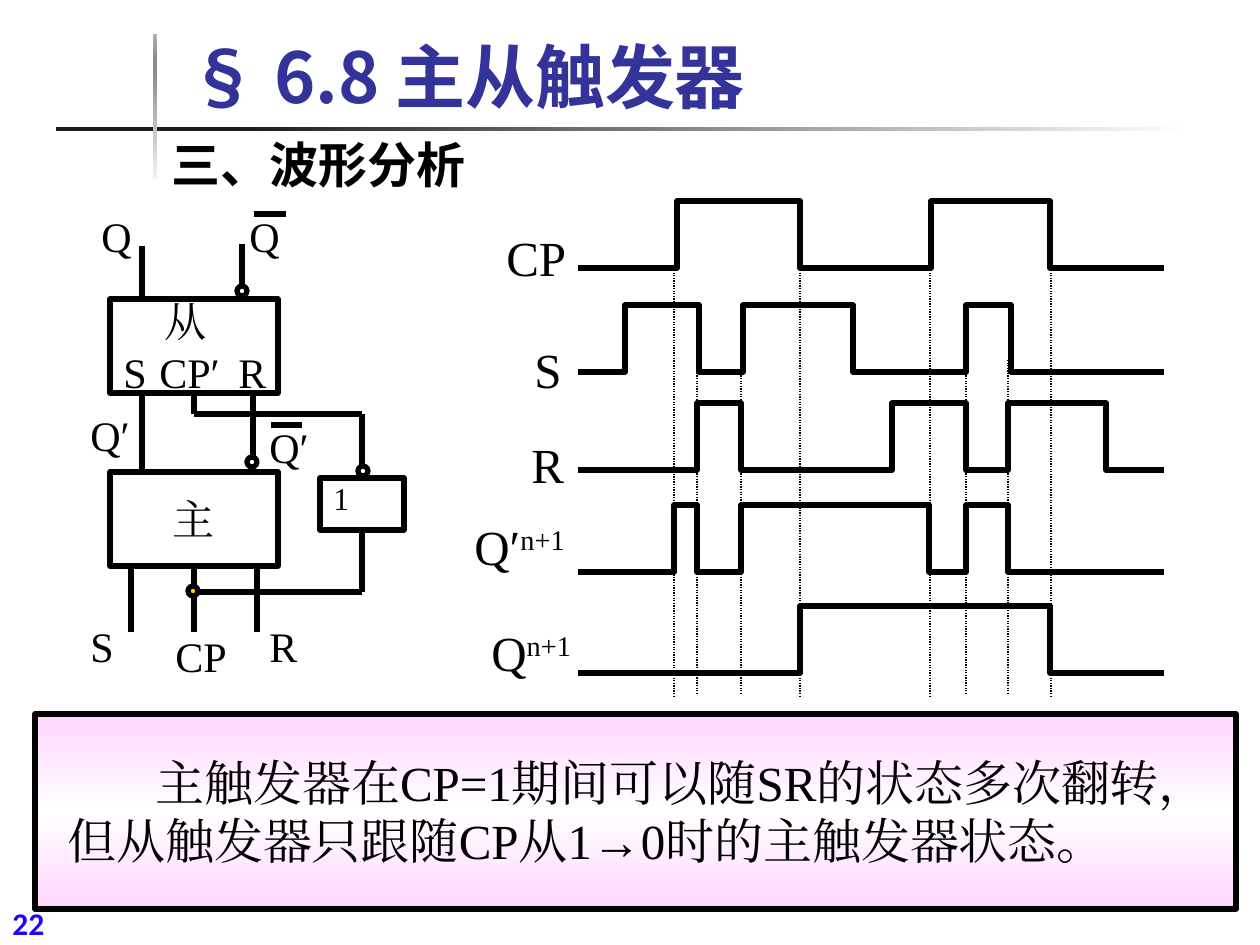
from lxml.etree import SubElement
from pptx import Presentation
from pptx.dml.color import RGBColor
from pptx.enum.dml import MSO_LINE
from pptx.enum.shapes import MSO_CONNECTOR, MSO_SHAPE
from pptx.enum.text import MSO_ANCHOR, PP_ALIGN
from pptx.oxml.ns import qn
from pptx.util import Pt

PX = 914400 / 126
BLACK = RGBColor(0x00, 0x00, 0x00)
WHITE = RGBColor(0xFF, 0xFF, 0xFF)
TITLE_BLUE = RGBColor(0x33, 0x33, 0x99)
NUMBER_BLUE = RGBColor(0x1F, 0x08, 0xF8)
GOLD = RGBColor(0xFF, 0xCF, 0x01)
PINK = RGBColor(0xFF, 0xD5, 0xFF)
INK = RGBColor(0x1C, 0x1C, 0x1C)
PALE_GREY = RGBColor(0xF2, 0xF2, 0xF2)
MID_GREY = RGBColor(0x8C, 0x8C, 0x8C)
LIGHT_GREY = RGBColor(0xB2, 0xB2, 0xB2)
SERIF, SANS, NUMBER = "Times New Roman", "Noto Sans CJK SC", "Calibri"

# Decorative bars: left, top, width, height, angle, stops
BARS = [
    (56, 127, 1134, 4, 0, [(16, INK), (100, WHITE)]),
    (153, 34, 4, 145, 90, [(0, PALE_GREY), (74, MID_GREY), (83, MID_GREY), (100, LIGHT_GREY)]),
]

# Headings: text, left, top, width, height, size, font, colour, anchor
HEADINGS = [
    ("22", 0, 898, 125, 47, 18, NUMBER, NUMBER_BLUE, MSO_ANCHOR.TOP),
    ("§ 6.8 主从触发器", 176, 43, 959, 81, 40, SANS, TITLE_BLUE, MSO_ANCHOR.BOTTOM),
    ("三、波形分析", 159, 128, 321, 72, 28, SANS, BLACK, MSO_ANCHOR.TOP),
]

# Waveforms: low level, then the x of every change of level
WAVE_START, WAVE_END, WAVE_HEIGHT = 578, 1164, 67
WAVES = [
    (268, [677, 800, 931, 1050]),
    (372, [625, 699, 743, 853, 966, 1011]),
    (470, [697, 741, 892, 966, 1008, 1106]),
    (572, [674, 697, 741, 929, 966, 1008]),
    (673, [800, 1050]),
]
# Dotted guides: top, bottom, x positions
GUIDES = [(270, 697, [674, 800, 930, 1051]), (360, 694, [697, 741, 966, 1008])]

# Labels: text, superscript, left, top, width, size
LABELS = [
    ("CP", "", 494, 221, 101, 28),
    ("S", "", 522, 333, 64, 28),
    ("R", "", 519, 428, 64, 28),
    ("Q′", "n+1", 462, 510, 178, 28),
    ("Q", "n+1", 479, 616, 131, 28),
    ("Q", "", 89, 204, 58, 24),
    ("Q", "", 237, 204, 58, 24),
    ("S", "", 111, 340, 50, 24),
    ("CP′", "", 147, 340, 101, 24),
    ("R", "", 226, 340, 56, 24),
    ("从", "", 152, 289, 70, 24),
    ("Q′", "", 78, 403, 72, 24),
    ("Q′", "", 257, 415, 72, 24),
    ("S", "", 78, 614, 50, 24),
    ("CP", "", 163, 624, 90, 24),
    ("R", "", 257, 614, 56, 24),
    ("1", "", 321, 473, 50, 18),
]

# Circuit: blocks by name, wires with the block whose bottom they start from
BLOCKS = {
    "slave": (110, 299, 168, 94, ""),
    "master": (110, 472, 168, 94, "主"),
    "inverter": (320, 478, 84, 52, ""),
}
WIRES = [
    (142, 246, 142, 299, None), (242, 244, 242, 286, None),
    (142, 396, 142, 469, None), (253, 393, 253, 456, None),
    (194, 393, 194, 414, "slave"), (194, 414, 362, 414, None),
    (362, 414, 362, 466, None), (362, 530, 362, 592, "inverter"),
    (362, 592, 194, 592, None), (194, 566, 194, 632, "master"),
    (131, 569, 131, 632, None), (257, 569, 257, 632, None),
    (254, 214, 286, 214, None), (271, 425, 302, 425, None),
]
DOT = 10
BUBBLES = [(237, 286, None), (247, 457, None), (358, 466, None), (188, 586, GOLD)]

SUMMARY_FRAME = (35, 714, 1201, 195)
SUMMARY_TEXT_BOX = (55, 746, 1169, 130)
SUMMARY_INDENT = 88
SUMMARY = "主触发器在CP=1期间可以随SR的状态多次翻转，但从触发器只跟随CP从1→0时的主触发器状态。"


def emu(*lengths):
    return [round(length * PX) for length in lengths]


def add_span(para, text, size, font=SERIF, color=BLACK, bold=False, raised=False):
    span = para.add_run()
    span.text = text
    span.font.size, span.font.name, span.font.bold = Pt(size), font, bold
    span.font.color.rgb = color
    properties = span._r.get_or_add_rPr()
    SubElement(properties, qn("a:ea")).set("typeface", font)
    if raised:
        properties.set("baseline", "30000")


def add_text_box(page, left, top, width, height, anchor=MSO_ANCHOR.TOP):
    box = page.shapes.add_textbox(*emu(left, top, width, height))
    box.text_frame.word_wrap = True
    box.text_frame.vertical_anchor = anchor
    return box.text_frame.paragraphs[0]


def draw_outline(shape, width=3):
    shape.line.color.rgb = BLACK
    shape.line.width = Pt(width)


def add_preset(page, kind, bounds, color=None, outlined=True):
    shape = page.shapes.add_shape(kind, *emu(*bounds))
    shape.shadow.inherit = False
    if color is None:
        shape.fill.background()
    else:
        shape.fill.solid()
        shape.fill.fore_color.rgb = color
    if outlined:
        draw_outline(shape)
    else:
        shape.line.fill.background()
    return shape


def fill_gradient(shape, angle, stops):
    shape.fill.gradient()
    shape.fill.gradient_angle = angle
    stop_list = shape._element.spPr.find(qn("a:gradFill")).find(qn("a:gsLst"))
    for stop in list(stop_list):
        stop_list.remove(stop)
    for position, color in stops:
        stop = SubElement(stop_list, qn("a:gs"), pos=str(position * 1000))
        SubElement(stop, qn("a:srgbClr"), val=str(color))


def add_wire(page, x1, y1, x2, y2, width=3):
    wire = page.shapes.add_connector(MSO_CONNECTOR.STRAIGHT, *emu(x1, y1, x2, y2))
    draw_outline(wire, width)
    SubElement(wire._element.spPr, qn("a:effectLst"))
    return wire


def add_wave(page, low, changes):
    points, level = [], low
    for x in changes:
        points.append((x, level))
        level = 2 * low - WAVE_HEIGHT - level
        points.append((x, level))
    points.append((WAVE_END, level))
    builder = page.shapes.build_freeform(WAVE_START, low, scale=PX)
    builder.add_line_segments(points, close=False)
    wave = builder.convert_to_shape()
    wave.shadow.inherit = False
    wave.fill.background()
    draw_outline(wave)


def main():
    deck = Presentation()
    deck.slide_width, deck.slide_height = emu(1260, 945)
    page = deck.slides.add_slide(deck.slide_layouts[6])

    # Bars and headings
    for *bounds, angle, stops in BARS:
        fill_gradient(add_preset(page, MSO_SHAPE.RECTANGLE, bounds, outlined=False), angle, stops)
    for text, left, top, width, height, size, font, color, anchor in HEADINGS:
        para = add_text_box(page, left, top, width, height, anchor)
        add_span(para, text, size, font, color, bold=True)

    # Timing diagram
    for top, bottom, positions in GUIDES:
        for x in positions:
            add_wire(page, x, top, x, bottom, 0.75).line.dash_style = MSO_LINE.ROUND_DOT
    for low, changes in WAVES:
        add_wave(page, low, changes)

    # Summary
    frame = add_preset(page, MSO_SHAPE.RECTANGLE, SUMMARY_FRAME)
    fill_gradient(frame, 90, [(0, PINK), (50, WHITE), (100, PINK)])
    para = add_text_box(page, *SUMMARY_TEXT_BOX)
    para._p.get_or_add_pPr().set("indent", str(emu(SUMMARY_INDENT)[0]))
    add_span(para, SUMMARY, 28)

    # Circuit
    blocks = {}
    for name, (*bounds, text) in BLOCKS.items():
        blocks[name] = add_preset(page, MSO_SHAPE.RECTANGLE, bounds)
        if text:
            blocks[name].text_frame.vertical_anchor = MSO_ANCHOR.MIDDLE
            para = blocks[name].text_frame.paragraphs[0]
            para.alignment = PP_ALIGN.CENTER
            add_span(para, text, 24)
    for *ends, source in WIRES:
        wire = add_wire(page, *ends)
        if source:
            wire.begin_connect(blocks[source], 2)
    for left, top, color in BUBBLES:
        add_preset(page, MSO_SHAPE.OVAL, (left, top, DOT, DOT), color)

    # Signal names
    for text, superscript, left, top, width, size in LABELS:
        para = add_text_box(page, left, top, width, 72 if size == 28 else 63)
        add_span(para, text, size)
        if superscript:
            add_span(para, superscript, size, raised=True)

    deck.save("out.pptx")


if __name__ == "__main__":
    main()
